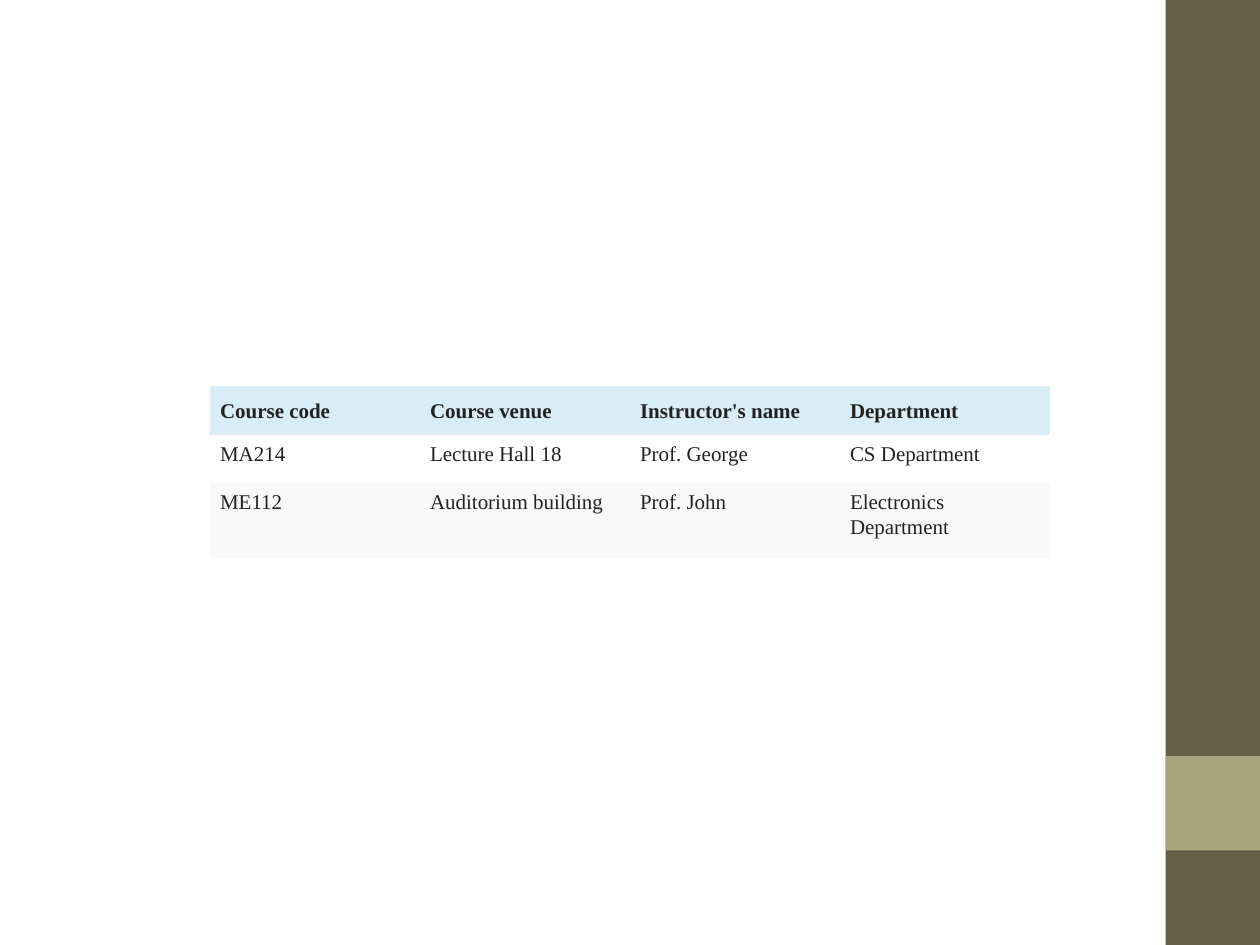
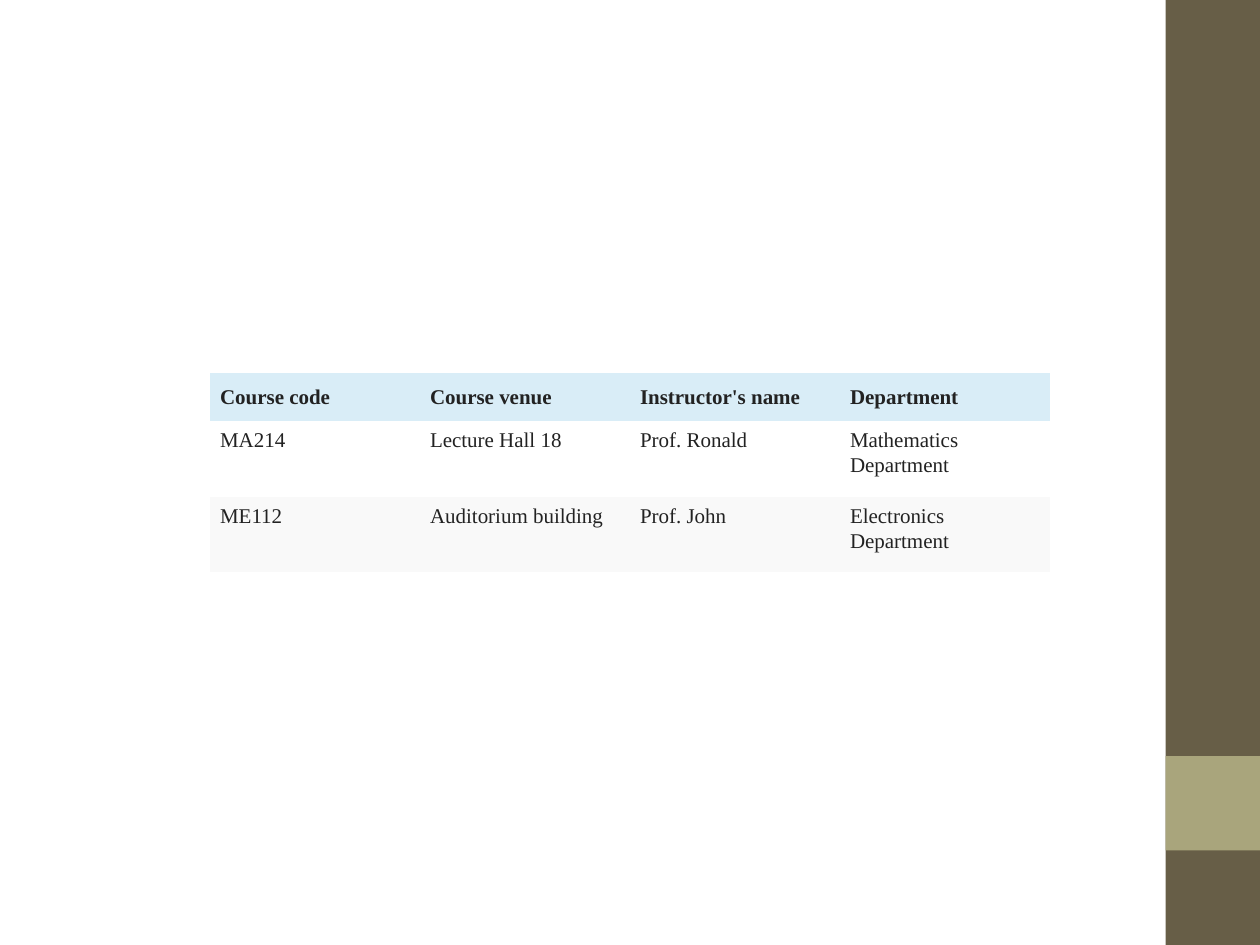
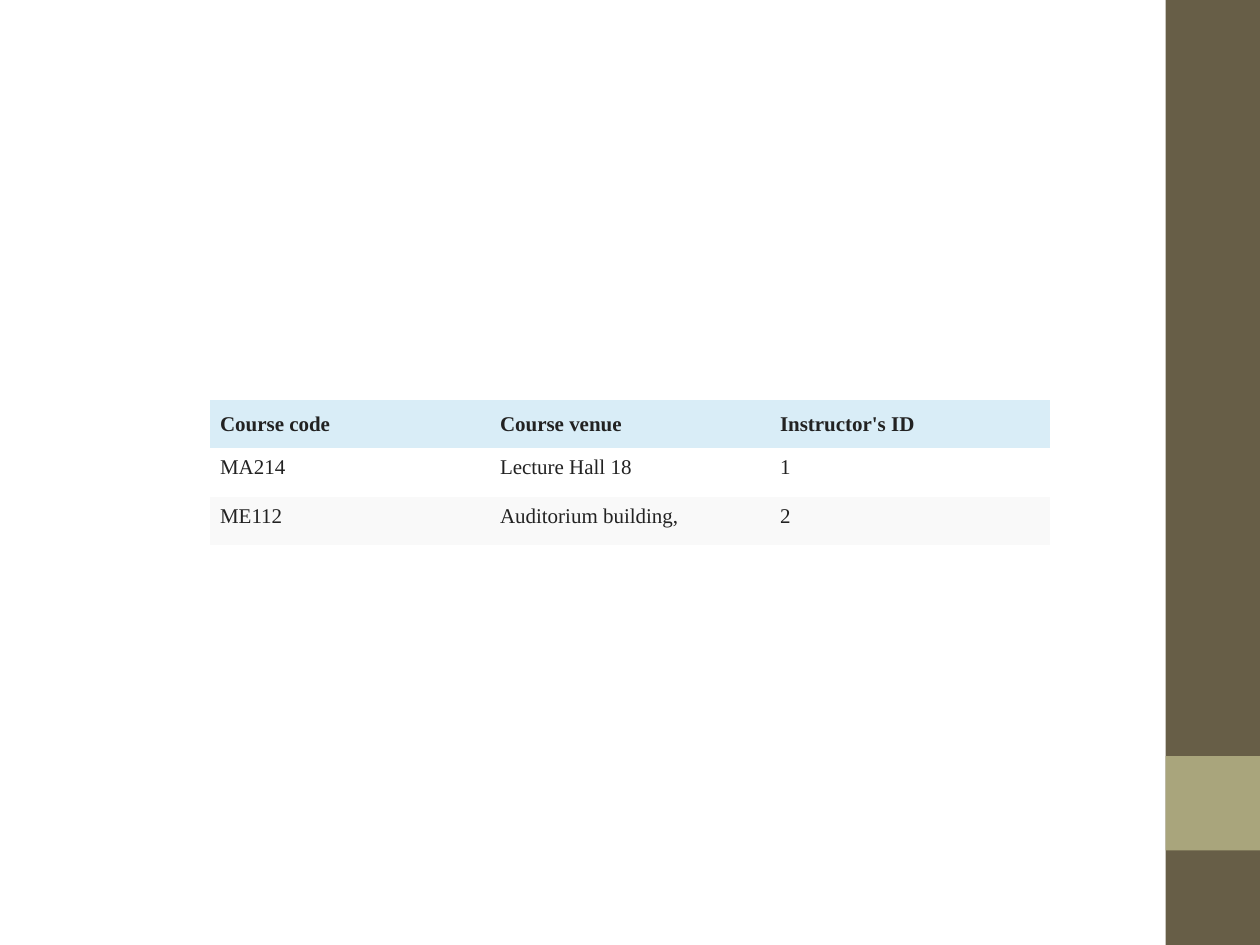
import pptx
import pptx.dml.color
import pptx.enum.shapes
import pptx.enum.text
import pptx.oxml.ns
import pptx.util

WIDTH = pptx.util.Inches(10)
HEIGHT = pptx.util.Inches(7.5)
COLORS = {
    "side_band": "675E47",
    "accent": "A9A57C",
    "text": "222222",
    "header": "D9EDF7",
    "odd_row": "FFFFFF",
    "even_row": "F9F9F9",
}
FONT = "Times New Roman"
NO_STYLE_NO_GRID = "{2D5ABB26-0587-4C30-8999-92F81FD0307C}"

# Row heights in inches, by the number of text lines
ROW_HEIGHTS = {1: 0.385, 2: 0.6}

COURSE_HEADER = ["Course code", "Course venue", "Instructor's name", "Department"]
ELECTRONICS_ROW = ["ME112", "Auditorium building", "Prof. John", "Electronics Department"]

# Each table: its rows, and the number of text lines in each row
TABLES = [
    ([COURSE_HEADER,
      ["MA214", "Lecture Hall 18", "Prof. George", "CS Department"],
      ELECTRONICS_ROW], [1, 1, 2]),
    ([COURSE_HEADER,
      ["MA214", "Lecture Hall 18", "Prof. Ronald", "Mathematics Department"],
      ELECTRONICS_ROW], [1, 2, 2]),
    ([["Course code", "Course venue", "Instructor's ID"],
      ["MA214", "Lecture Hall 18", "1"],
      ["ME112", "Auditorium building,", "2"]], [1, 1, 1]),
]


def fill_with(target, color):
    target.fill.solid()
    target.fill.fore_color.rgb = pptx.dml.color.RGBColor.from_string(COLORS[color])


def add_master_band(deck, page, top, height, color, shape_id):
    """Draw a band at the right edge and move it to the slide master."""
    left = int(WIDTH * 0.925)
    band = page.shapes.add_shape(
        pptx.enum.shapes.MSO_SHAPE.RECTANGLE,
        left, int(HEIGHT * top), WIDTH - left, int(HEIGHT * height))
    band.shadow.inherit = False
    fill_with(band, color)
    band.line.fill.background()
    band.element.nvSpPr.cNvPr.id = shape_id
    deck.slide_master.element.cSld.spTree.append(band.element)


def format_cell(cell, text, is_header, color):
    fill_with(cell, color)
    cell.margin_left = cell.margin_right = pptx.util.Inches(0.08)
    cell.margin_top = cell.margin_bottom = pptx.util.Inches(0.05)
    anchors = pptx.enum.text.MSO_ANCHOR
    cell.vertical_anchor = anchors.MIDDLE if is_header else anchors.TOP
    cell.text_frame.text = text
    para = cell.text_frame.paragraphs[0]
    para.line_spacing = 1.07
    font = para.runs[0].font
    font.name = FONT
    font.size = pptx.util.Pt(12)
    font.bold = is_header
    font.color.rgb = pptx.dml.color.RGBColor.from_string(COLORS["text"])


def add_course_table(page, rows, line_counts):
    """Add a table two thirds of the slide wide, centred both ways."""
    heights = [pptx.util.Inches(ROW_HEIGHTS[count]) for count in line_counts]
    width, height = WIDTH * 2 // 3, sum(heights)
    table = page.shapes.add_table(
        len(rows), len(rows[0]),
        (WIDTH - width) // 2, (HEIGHT - height) // 2, width, height).table
    table.first_row = True
    table.horz_banding = False
    style = table._tbl.tblPr.find(pptx.oxml.ns.qn("a:tableStyleId"))
    style.text = NO_STYLE_NO_GRID

    for column in table.columns:
        column.width = width // len(rows[0])
    row_colors = ["header", "odd_row", "even_row"]
    for row_index, (texts, color) in enumerate(zip(rows, row_colors)):
        table.rows[row_index].height = heights[row_index]
        for column_index, text in enumerate(texts):
            format_cell(table.cell(row_index, column_index), text,
                        row_index == 0, color)


def main():
    deck = pptx.Presentation()
    deck.slide_width, deck.slide_height = WIDTH, HEIGHT
    blank = deck.slide_layouts[6]
    pages = [deck.slides.add_slide(blank) for _ in TABLES]

    # Shared bands on the master
    add_master_band(deck, pages[0], 0, 1, "side_band", 101)
    add_master_band(deck, pages[0], 0.8, 0.1, "accent", 102)

    # One table per slide
    for page, (rows, line_counts) in zip(pages, TABLES):
        add_course_table(page, rows, line_counts)

    deck.save("out.pptx")


if __name__ == "__main__":
    main()
